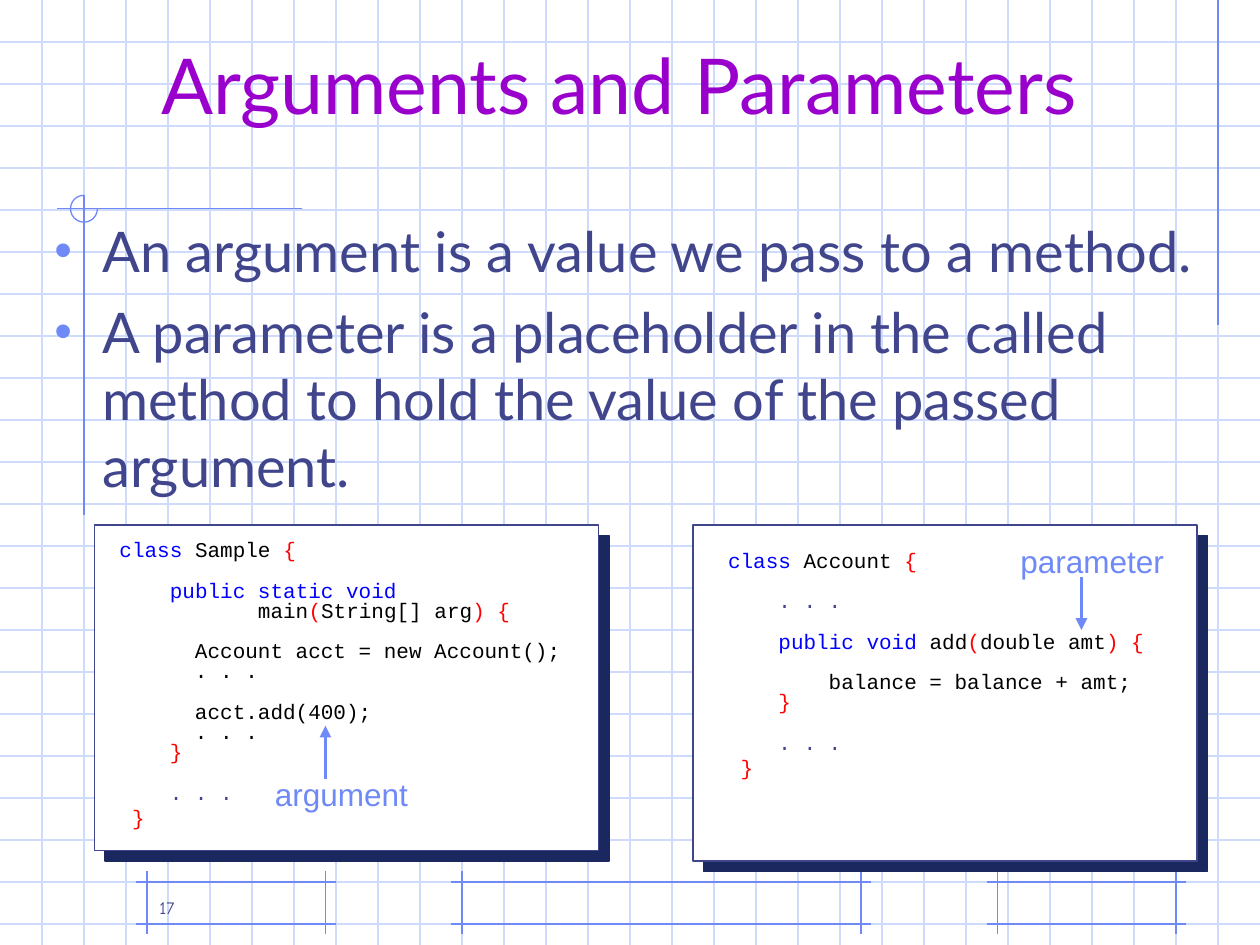
import lxml.etree as et
import pptx
import pptx.dml.color
import pptx.enum.shapes
import pptx.enum.text
import pptx.oxml.ns
import pptx.util

RGB = pptx.dml.color.RGBColor
Pt = pptx.util.Pt
SHAPE = pptx.enum.shapes.MSO_SHAPE
ALIGN = pptx.enum.text.PP_ALIGN
ANCHOR = pptx.enum.text.MSO_ANCHOR
FIT = pptx.enum.text.MSO_AUTO_SIZE
qn = pptx.oxml.ns.qn

WHITE = RGB(0xFF, 0xFF, 0xFF)
PALE = RGB(0xCF, 0xDB, 0xFD)
BLUE = RGB(0x6F, 0x89, 0xF7)
INK = RGB(0x40, 0x45, 0x8C)
NAVY = RGB(0x1B, 0x28, 0x5F)
PURPLE = RGB(0x99, 0x00, 0xCC)
KEY = RGB(0x00, 0x00, 0xFF)
MARK = RGB(0xFF, 0x00, 0x00)
BLACK = RGB(0x00, 0x00, 0x00)

COLS, ROWS = 30, 22.5
GAP = 11.6  # height of one skipped code line, in points


class Deck:
    """Holds the slide; lengths are in columns and rows of its square grid."""

    sans, mono, plain, hand = "Lato", "Courier New", "Arial", "Comic Neue"

    def __init__(self):
        self.prs = pptx.Presentation()
        self.prs.slide_width = pptx.util.Inches(10)
        self.prs.slide_height = pptx.util.Inches(7.5)
        self.cell = self.prs.slide_width / COLS
        self.slide = self.prs.slides.add_slide(self.prs.slide_layouts[5])
        self.shapes = self.slide.shapes

    def grid(self, *cells):
        return [round(n * self.cell) for n in cells]

    def rule(self, x1, y1, x2, y2, color=BLUE, width=0.75, arrow=False):
        kind = pptx.enum.shapes.MSO_CONNECTOR.STRAIGHT
        rule = self.shapes.add_connector(kind, *self.grid(x1, y1, x2, y2))
        rule.line.color.rgb = color
        rule.line.width = Pt(width)
        props = rule.element.spPr
        if arrow:
            et.SubElement(props.find(qn("a:ln")), qn("a:tailEnd"), type="triangle")
        et.SubElement(props, qn("a:effectLst"))

    def frame(self, left, right, top=21, low=22, over=0.25):
        """Draw four rules that cross at the corners."""
        for y in (top, low):
            self.rule(left - over, y, right + over, y)
        for x in (left, right):
            self.rule(x, top - over, x, low + over)

    def arc(self, x, y, size):
        arc = self.shapes.add_shape(SHAPE.ARC, *self.grid(x, y, size, size))
        arc.adjustments[0], arc.adjustments[1] = 0, 162
        arc.shadow.inherit = False
        arc.fill.background()
        arc.line.color.rgb = BLUE
        arc.line.width = Pt(0.75)

    def run(self, para, text, font, size, color):
        run = para.add_run()
        run.text = text
        run.font.name = font
        run.font.size = Pt(size)
        run.font.color.rgb = color

    def title(self, box, text):
        head = self.shapes.title
        # Bring the title in front of the ruled paper
        head.element.getparent().append(head.element)
        head.left, head.top, head.width, head.height = self.grid(*box)
        frame = head.text_frame
        frame.vertical_anchor = ANCHOR.BOTTOM
        frame.auto_size = FIT.NONE
        frame.paragraphs[0].alignment = ALIGN.CENTER
        self.run(frame.paragraphs[0], text, self.sans, 44, PURPLE)

    def text(self, box, wrap=True):
        frame = self.shapes.add_textbox(*self.grid(*box)).text_frame
        frame.word_wrap = wrap
        frame.auto_size = FIT.NONE if wrap else FIT.SHAPE_TO_FIT_TEXT
        return frame

    def label(self, box, text):
        para = self.text(box, wrap=False).paragraphs[0]
        self.run(para, text, self.plain, 18, BLUE)

    def number(self, box, text):
        frame = self.text(box)
        frame.vertical_anchor = ANCHOR.BOTTOM
        self.run(frame.paragraphs[0], text, self.hand, 10, INK)

    def bullets(self, box, items):
        frame = self.text(box)
        for i, item in enumerate(items):
            para = frame.add_paragraph() if i else frame.paragraphs[0]
            props = para._p.get_or_add_pPr()
            props.set("marL", str(pptx.util.Inches(0.38)))
            props.set("indent", str(-pptx.util.Inches(0.38)))
            tint = et.SubElement(props, qn("a:buClr"))
            et.SubElement(tint, qn("a:srgbClr"), val=str(BLUE))
            et.SubElement(props, qn("a:buSzPct"), val="90000")
            et.SubElement(props, qn("a:buFont"), typeface=self.plain)
            et.SubElement(props, qn("a:buChar"), char="•")
            if i:
                para.space_before = Pt(8)
            self.run(para, item, self.sans, 32, INK)

    def panel(self, *box):
        card = self.shapes.add_shape(SHAPE.RECTANGLE, *self.grid(*box))
        card.fill.solid()
        card.fill.fore_color.rgb = WHITE
        card.line.color.rgb = INK
        card.line.width = Pt(0.75)
        card.shadow.inherit = False
        cast = et.SubElement(
            card.element.spPr.find(qn("a:effectLst")), qn("a:outerShdw"),
            dist=str(Pt(8.5)), dir="2700000", algn="ctr", rotWithShape="0")
        et.SubElement(cast, qn("a:srgbClr"), val=str(NAVY))

    def code(self, box, lines):
        """Each line is the space before it, then its (text, color) runs."""
        frame = self.text(box, wrap=False)
        for i, (gap, *runs) in enumerate(lines):
            para = frame.add_paragraph() if i else frame.paragraphs[0]
            para.line_spacing = 0.8 if i < len(lines) - 1 else 1.0
            if gap:
                para.space_before = Pt(gap)
            for text, color in runs:
                self.run(para, text, self.mono, 12, color)


CLOSE = (0, ("    ", BLACK), ("}", MARK))
DOTS = (GAP, ("    . . .", INK))
END = (0, (" ", BLACK), ("}", MARK))

SAMPLE = [
    (0, ("class", KEY), (" Sample ", BLACK), ("{", MARK)),
    (GAP, ("    ", BLACK), ("public static void", KEY)),
    (0, ("           main", BLACK), ("(", MARK), ("String[] arg", BLACK), (") {", MARK)),
    (GAP, ("      Account acct = new Account();", BLACK)),
    (0, ("      . . .", BLACK)),
    (GAP, ("      acct.add(400);", BLACK)),
    (0, ("      . . .", BLACK)),
    CLOSE, DOTS, END,
]
ACCOUNT = [
    (0, ("class", KEY), (" Account ", BLACK), ("{", MARK)),
    DOTS,
    (GAP, ("    ", BLACK), ("public void", KEY), (" add", BLACK), ("(", MARK),
     ("double amt", BLACK), (") {", MARK)),
    (GAP, ("        balance = balance + amt;", BLACK)),
    CLOSE, DOTS, END,
]


def main():
    deck = Deck()
    for row in range(1, 23):
        deck.rule(0, row, COLS, row, PALE)
    for col in range(1, COLS):
        deck.rule(col, 0, col, ROWS, PALE)
    for left, right in ((11, 20.5), (23.75, 28), (3.5, 7.75)):
        deck.frame(left, right)
    deck.rule(29, 0, 29, 7.75)
    deck.rule(7.2, 4.97, 1.35, 4.97)
    deck.rule(2, 4.65, 2, 12.27)
    deck.arc(1.68, 4.65, 0.64)

    deck.title((2, 0.5, 25.5, 2.75), "Arguments and Parameters")
    deck.bullets((1, 5, 29, 13.5), [
        "An argument is a value we pass to a method.",
        "A parameter is a placeholder in the called method to hold "
        "the value of the passed argument.",
    ])

    deck.panel(2.25, 12.5, 12, 7.75)
    deck.code((2.55, 12.75, 11.1, 7.14), SAMPLE)
    deck.rule(7.75, 18.54, 7.75, 17.28, width=2.25, arrow=True)
    deck.label((6.25, 18.3, 3.9, 1.2), "argument")

    deck.panel(16.5, 12.5, 12, 8)
    deck.code((17.04, 13, 10.5, 5.7), ACCOUNT)
    deck.rule(25.75, 13.75, 25.75, 15, width=2.25, arrow=True)
    deck.label((24, 12.75, 4.05, 1.2), "parameter")

    deck.number((3.5, 20.5, 6.25, 1.5), "17")
    deck.prs.save("out.pptx")


if __name__ == "__main__":
    main()
